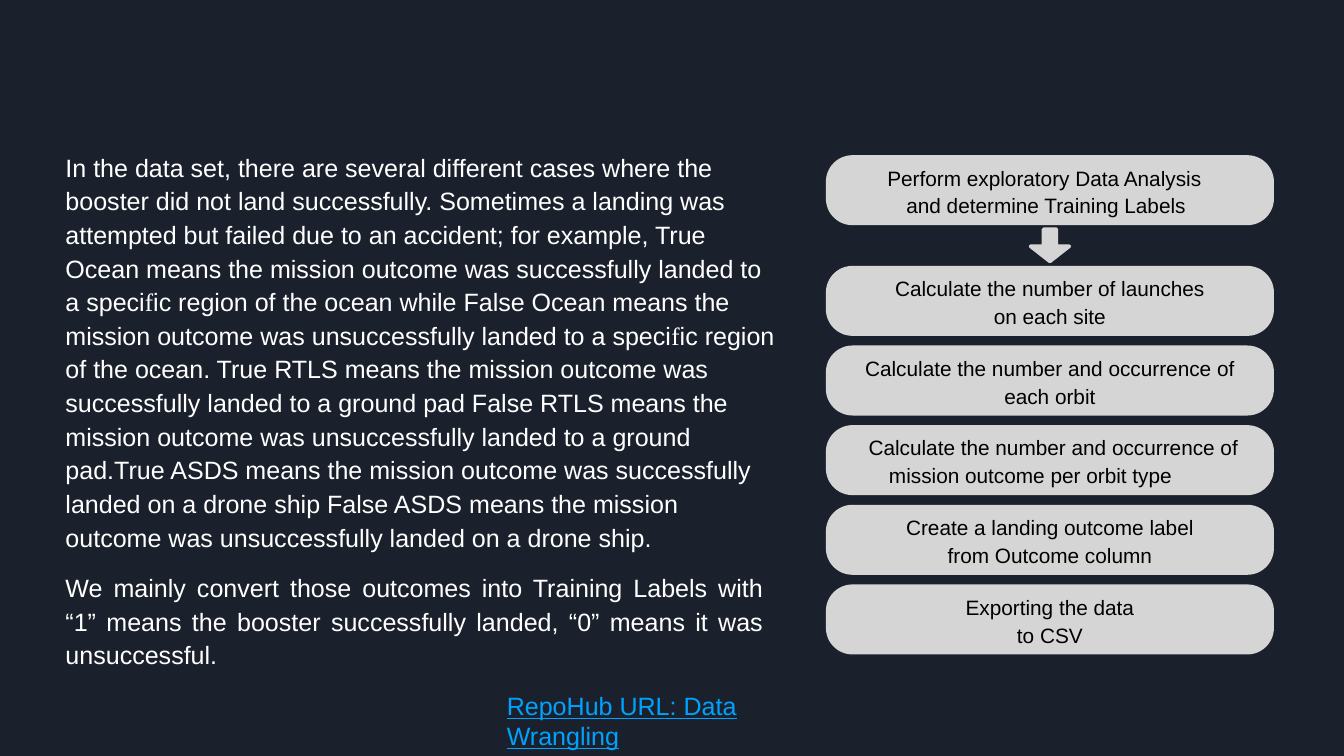
from pptx import Presentation
from pptx.dml.color import RGBColor
from pptx.enum.shapes import MSO_SHAPE
from pptx.enum.text import MSO_ANCHOR, MSO_AUTO_SIZE, PP_ALIGN
from pptx.util import Cm, Pt
from lxml.etree import SubElement
from pptx.oxml.ns import qn

COLOURS = {"background": "1B212C", "body": "FFFFFF", "link": "00A2FF",
           "step": "D5D5D5", "step text": "000000"}
SANS, SERIF = "Arial", "Times New Roman"
LINE_SPACING = 1.12

OUTCOMES = [
    ("In the data set, there are several different cases where the booster did not land "
     "successfully. Sometimes a landing was attempted but failed due to an accident; for "
     "example, True Ocean means the mission outcome was successfully landed to a speci", SANS),
    ("f", SERIF),
    ("ic region of the ocean while False Ocean means the mission outcome was "
     "unsuccessfully landed to a speci", SANS),
    ("f", SERIF),
    ("ic region of the ocean. True RTLS means the mission outcome was successfully landed "
     "to a ground pad False RTLS means the mission outcome was unsuccessfully landed to a "
     "ground pad.True ASDS means the mission outcome was successfully landed on a drone "
     "ship False ASDS means the mission outcome was unsuccessfully landed on a drone ship.",
     SANS),
]
LABELS = [("We mainly convert those outcomes into Training Labels with “1” means the "
           "booster successfully landed, “0” means it was unsuccessful.", SANS)]
LINK = [("RepoHub URL: Data Wrangling", SANS)]

FIRST_STEP = ("Perform exploratory Data Analysis", "and determine Training Labels")
LATER_STEPS = [
    ("Calculate the number of launches", "on each site"),
    ("Calculate the number and occurrence of", "each orbit"),
    ("Calculate the number and occurrence of", "mission outcome per orbit type"),
    ("Create a landing outcome label", "from Outcome column"),
    ("Exporting the data", "to CSV"),
]
HANGING_STEPS = {FIRST_STEP: (2.23, 0.79), LATER_STEPS[2]: (1.45, 0.85)}


def colour(part):
    """Return the colour of a part of the slide."""
    return RGBColor.from_string(COLOURS[part])


def set_indents(paragraph, left=0, right=0, first=0):
    """Set the paragraph's indents in centimetres and switch its bullet off."""
    properties = paragraph._p.get_or_add_pPr()
    for name, length in (("marL", left), ("marR", right), ("indent", first)):
        properties.set(name, str(Cm(length)))
    SubElement(properties, qn("a:buNone"))


def add_run(paragraph, wording, font_name, size, part):
    """Add one formatted run to the paragraph."""
    run = paragraph.add_run()
    run.text = wording
    run.font.name = font_name
    run.font.size = Pt(size)
    run.font.color.rgb = colour(part)
    return run


def prepare_frame(frame, anchor):
    """Give the text frame no margins, wrapping and the given anchor."""
    frame.word_wrap = True
    frame.auto_size = MSO_AUTO_SIZE.NONE
    frame.vertical_anchor = anchor
    frame.margin_left = frame.margin_right = frame.margin_top = frame.margin_bottom = 0


def fill_explanation(body, left, top, width, height):
    """Write the outcome explanation and the link in the body placeholder."""
    body.left, body.top, body.width, body.height = map(Cm, (left, top, width, height))
    frame = body.text_frame
    prepare_frame(frame, MSO_ANCHOR.TOP)
    paragraphs = [
        (OUTCOMES, PP_ALIGN.LEFT, 0, 0, 0, LINE_SPACING, "body"),
        (LABELS, PP_ALIGN.JUSTIFY, 0, 0.6, 19.8, LINE_SPACING, "body"),
        (LINK, PP_ALIGN.LEFT, 18.34, -4, 24.4, 1.0, "link"),
    ]
    for index, (pieces, alignment, indent, right, before, spacing, part) in enumerate(paragraphs):
        paragraph = frame.add_paragraph() if index else frame.paragraphs[0]
        paragraph.alignment = alignment
        paragraph.line_spacing = spacing
        paragraph.space_before = Pt(before)
        set_indents(paragraph, left=indent, right=max(right, 0))
        for wording, font_name in pieces:
            run = add_run(paragraph, wording, font_name, 29.5, part)
            run.font.underline = part == "link"


def add_block(slide, preset, left, top, width, height):
    """Add a flat shape in the step colour."""
    block = slide.shapes.add_shape(preset, Cm(left), Cm(top), Cm(width), Cm(height))
    block.shadow.inherit = False
    block.fill.solid()
    block.fill.fore_color.rgb = colour("step")
    block.line.fill.background()
    return block


def add_step(slide, lines, left, top, width, height):
    """Add one rounded step with its two lines."""
    step = add_block(slide, MSO_SHAPE.ROUNDED_RECTANGLE, left, top, width, height)
    step.adjustments[0] = 0.38
    prepare_frame(step.text_frame, MSO_ANCHOR.MIDDLE)
    paragraph = step.text_frame.paragraphs[0]
    paragraph.line_spacing = LINE_SPACING
    paragraph.alignment = PP_ALIGN.CENTER
    if lines in HANGING_STEPS:
        start, shift = HANGING_STEPS[lines]
        paragraph.alignment = PP_ALIGN.LEFT
        set_indents(paragraph, left=start + shift, first=-shift)
    first_line, second_line = lines
    add_run(paragraph, first_line, SANS, 24.5, "step text")
    paragraph.add_line_break()
    add_run(paragraph, second_line, SANS, 24.5, "step text")


def add_flow(slide, left, top, width):
    """Stack the steps, with an arrow after the first one."""
    height, pitch, later_top = 2.91, 3.31, top + 4.6
    add_step(slide, FIRST_STEP, left, top, width, height)
    for index, lines in enumerate(LATER_STEPS):
        add_step(slide, lines, left, later_top + index * pitch, width, height)
    arrow_width = 1.62
    arrow = add_block(slide, MSO_SHAPE.DOWN_ARROW, left + (width - arrow_width) / 2,
                      top + 3.07, arrow_width, 1.35)
    arrow.adjustments[0] = 0.33
    arrow.adjustments[1] = 0.47
    arrow.line.color.rgb = colour("step")
    arrow.line.width = Pt(4.12)
    SubElement(arrow.line._get_or_add_ln(), qn("a:round"))


def build_wrangling_slide(deck):
    """Build the data wrangling slide."""
    slide = deck.slides.add_slide(deck.slide_layouts[1])
    slide.background.fill.solid()
    slide.background.fill.fore_color.rgb = colour("background")
    heading = slide.shapes.title
    heading.element.getparent().remove(heading.element)
    fill_explanation(slide.placeholders[1], 2.72, 6.17, 29.6, 23.8)
    add_flow(slide, 34.32, 6.45, 18.62)


def main():
    """Create and save the deck."""
    deck = Presentation()
    deck.slide_width, deck.slide_height = Cm(55.85), Cm(31.42)
    build_wrangling_slide(deck)
    deck.save("out.pptx")


if __name__ == "__main__":
    main()
